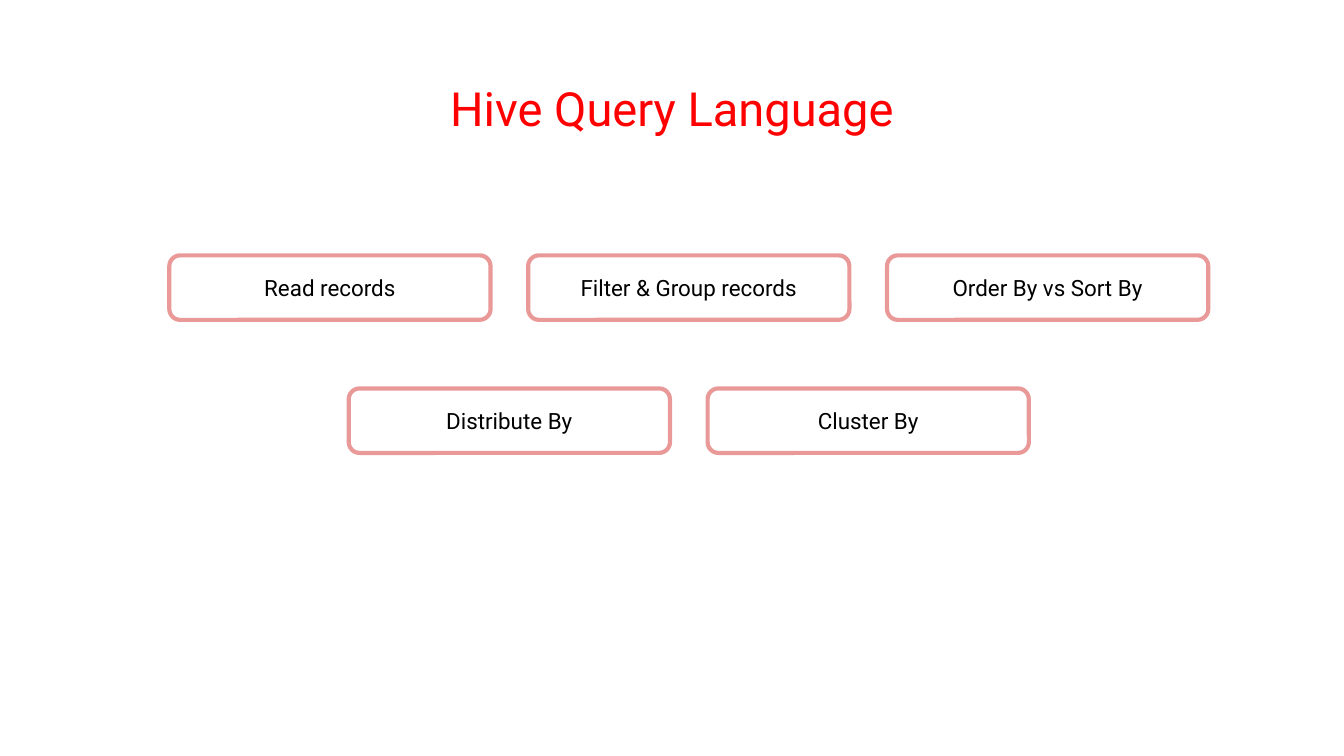
from dataclasses import dataclass

from pptx import Presentation
from pptx.dml.color import RGBColor
from pptx.enum.shapes import MSO_SHAPE
from pptx.enum.text import MSO_ANCHOR, PP_ALIGN
from pptx.slide import Slide
from pptx.text.text import TextFrame
from pptx.util import Inches, Pt

ROUNDED = MSO_SHAPE.ROUNDED_RECTANGLE
CENTER = PP_ALIGN.CENTER
TOP, MIDDLE = MSO_ANCHOR.TOP, MSO_ANCHOR.MIDDLE

FONT = "Roboto"
RED, PINK, WHITE, BLACK = "FF0000", "EA9999", "FFFFFF", "000000"

# Widescreen page, in inches
PAGE_WIDTH = 10
PAGE_HEIGHT = PAGE_WIDTH * 9 / 16

# Topic grid, in inches
GRID_LEFT, GRID_TOP = 1.26, 1.9
COLUMN_STEP, ROW_STEP = 2.67, 0.99
BOX_WIDTH, BOX_HEIGHT = 2.39, 0.48


@dataclass(frozen=True)
class Topic:
    label: str
    column: float
    row: int


TOPICS = [
    Topic("Read records", 0, 0),
    Topic("Filter & Group records", 1, 0),
    Topic("Order By vs Sort By", 2, 0),
    Topic("Distribute By", 0.5, 1),
    Topic("Cluster By", 1.5, 1),
]


def color(value: str) -> RGBColor:
    return RGBColor.from_string(value)


def write(frame: TextFrame, text: str, size: float, ink: str, anchor: MSO_ANCHOR) -> None:
    """Put one centred line of text in a frame."""
    frame.word_wrap = True
    frame.vertical_anchor = anchor
    frame.margin_left = frame.margin_right = Inches(0.1)
    frame.margin_top = frame.margin_bottom = Inches(0.1)
    frame.text = text
    para = frame.paragraphs[0]
    para.alignment = CENTER
    font = para.runs[0].font
    font.name, font.size = FONT, Pt(size)
    font.color.rgb = color(ink)


def draw_title(page: Slide, text: str) -> None:
    box = page.shapes.add_textbox(Inches(0.34), Inches(0.49), Inches(9.32), Inches(0.63))
    write(box.text_frame, text, 25.2, RED, TOP)


def draw_topic(page: Slide, topic: Topic) -> None:
    box = page.shapes.add_shape(
        ROUNDED,
        Inches(GRID_LEFT + topic.column * COLUMN_STEP),
        Inches(GRID_TOP + topic.row * ROW_STEP),
        Inches(BOX_WIDTH),
        Inches(BOX_HEIGHT),
    )
    box.shadow.inherit = False
    box.fill.solid()
    box.fill.fore_color.rgb = color(WHITE)
    box.line.color.rgb = color(PINK)
    box.line.width = Pt(2.25)
    write(box.text_frame, topic.label, 12, BLACK, MIDDLE)


def main() -> None:
    deck = Presentation()
    deck.slide_width, deck.slide_height = Inches(PAGE_WIDTH), Inches(PAGE_HEIGHT)
    page = deck.slides.add_slide(deck.slide_layouts[6])
    page.background.fill.solid()
    page.background.fill.fore_color.rgb = color(WHITE)

    draw_title(page, "Hive Query Language")
    for topic in TOPICS:
        draw_topic(page, topic)

    deck.save("out.pptx")


if __name__ == "__main__":
    main()
